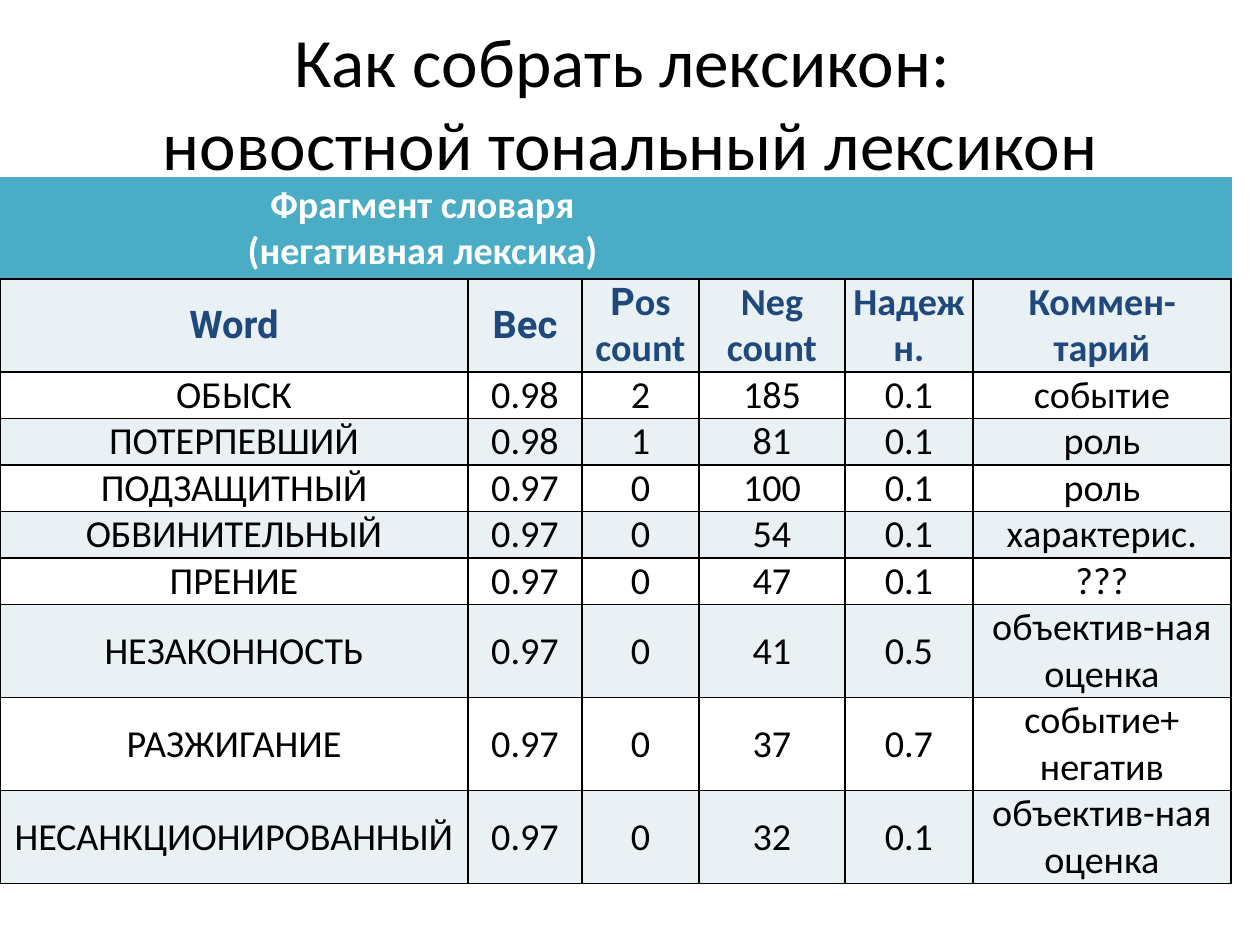
import pptx
import pptx.util
import pptx.dml.color
import pptx.enum.text
import pptx.oxml
import pptx.oxml.ns

PX = 8000  # EMU per px
CENTER = pptx.enum.text.PP_ALIGN.CENTER
MIDDLE = pptx.enum.text.MSO_ANCHOR.MIDDLE
BLACK, WHITE, TEAL, NAVY, PALE = "000000", "FFFFFF", "4BACC6", "1F497D", "E9F1F5"


def px(value):
    return pptx.util.Emu(value * PX)


def color(value):
    return pptx.dml.color.RGBColor.from_string(value)


def apply(target, values):
    for name, value in values.items():
        setattr(target, name, value)


class LexiconSlide:
    font = "Calibri"
    table_size = 24

    def __init__(self, presentation):
        self.slide = presentation.slides.add_slide(presentation.slide_layouts[5])

    def format_run(self, run, size, fill, bold=False, font=None):
        apply(run.font, {"name": font or self.font, "size": pptx.util.Pt(size), "bold": bold})
        run.font.color.rgb = color(fill)

    def title(self, text, left, top, width, height, size):
        shape = self.slide.shapes.title
        apply(shape, {"left": px(left), "top": px(top), "width": px(width), "height": px(height)})
        frame = shape.text_frame
        apply(frame, {"word_wrap": True, "vertical_anchor": MIDDLE,
                      "auto_size": pptx.enum.text.MSO_AUTO_SIZE.NONE})
        frame.text = text
        paragraph = frame.paragraphs[0]
        paragraph.alignment = CENTER
        for run in paragraph.runs:
            self.format_run(run, size, BLACK)

    def table(self, left, top, widths, heights):
        shape = self.slide.shapes.add_table(len(heights), len(widths), px(left), px(top),
                                            px(sum(widths)), px(sum(heights)))
        table = shape.table
        apply(table, {"first_row": False, "horz_banding": False})
        for column, width in zip(table.columns, widths):
            column.width = px(width)
        for row, height in zip(table.rows, heights):
            row.height = px(height)
        return table

    def cell(self, cell, lines, fill, text_color, bold=False, font=None,
             margins=(8, 0), borders=(BLACK,) * 4):
        """Each line is a string or a list of (text, font) runs."""
        horizontal, vertical = map(px, margins)
        apply(cell, {"margin_left": horizontal, "margin_right": horizontal,
                     "margin_top": vertical, "margin_bottom": vertical,
                     "vertical_anchor": MIDDLE})
        self.borders(cell, borders)
        cell.fill.solid()
        cell.fill.fore_color.rgb = color(fill)
        frame = cell.text_frame
        for index, line in enumerate(lines):
            paragraph = frame.add_paragraph() if index else frame.paragraphs[0]
            paragraph.alignment = CENTER
            for text, run_font in [(line, font)] if isinstance(line, str) else line:
                run = paragraph.add_run()
                run.text = text
                self.format_run(run, self.table_size, text_color, bold, run_font)

    def borders(self, cell, colors):
        properties = cell._tc.get_or_add_tcPr()
        for side, value in zip("LRTB", colors):
            properties.append(pptx.oxml.parse_xml(
                f'<a:ln{side} {pptx.oxml.ns.nsdecls("a")} w="12700"><a:solidFill>'
                f'<a:srgbClr val="{value}"/></a:solidFill></a:ln{side}>'))


HEADINGS = [
    [[("Word", "Roboto")]],
    [[("Вес", "Roboto")]],
    [[("P", "Roboto"), ("os count", "Calibri")]],
    ["Neg", "count"],
    ["Надежн."],
    ["Коммен-тарий"],
]
WORDS = [
    ("ОБЫСК", "0.98", "2", "185", "0.1", "событие"),
    ("ПОТЕРПЕВШИЙ", "0.98", "1", "81", "0.1", "роль"),
    ("ПОДЗАЩИТНЫЙ", "0.97", "0", "100", "0.1", "роль"),
    ("ОБВИНИТЕЛЬНЫЙ", "0.97", "0", "54", "0.1", "характерис."),
    ("ПРЕНИЕ", "0.97", "0", "47", "0.1", "???"),
    ("НЕЗАКОННОСТЬ", "0.97", "0", "41", "0.5", "объектив-ная оценка"),
    ("РАЗЖИГАНИЕ", "0.97", "0", "37", "0.7", "событие+\nнегатив"),
    ("НЕСАНКЦИОНИРОВАННЫЙ", "0.97", "0", "32", "0.1", "объектив-ная оценка"),
]


def main():
    presentation = pptx.Presentation()
    apply(presentation, {"slide_width": px(1260), "slide_height": px(945)})
    page = LexiconSlide(presentation)

    # Title
    page.title("Как собрать лексикон: \vновостной тональный лексикон", 63, 22, 1134, 158, 43.6)

    # Table grid
    widths = [468, 114, 117, 146, 128, 258]
    heights = [101, 93] + [46] * 5 + [93] * 3
    table = page.table(0, 178, widths, heights)

    # Banner row
    table.cell(0, 0).merge(table.cell(0, 3))
    for column in range(len(widths)):
        lines = ["Фрагмент словаря", "(негативная лексика)"] if column == 0 else []
        page.cell(table.cell(0, column), lines, TEAL, WHITE, bold=True,
                  margins=(6, 3), borders=(TEAL, TEAL, TEAL, BLACK))

    # Column headings
    for column, lines in enumerate(HEADINGS):
        page.cell(table.cell(1, column), lines, PALE, NAVY, bold=True)

    # Word rows in alternating fills
    for row, values in enumerate(WORDS, start=2):
        for column, value in enumerate(values):
            page.cell(table.cell(row, column), value.split("\n"),
                      PALE if row % 2 else WHITE, BLACK)

    presentation.save("out.pptx")


if __name__ == "__main__":
    main()
